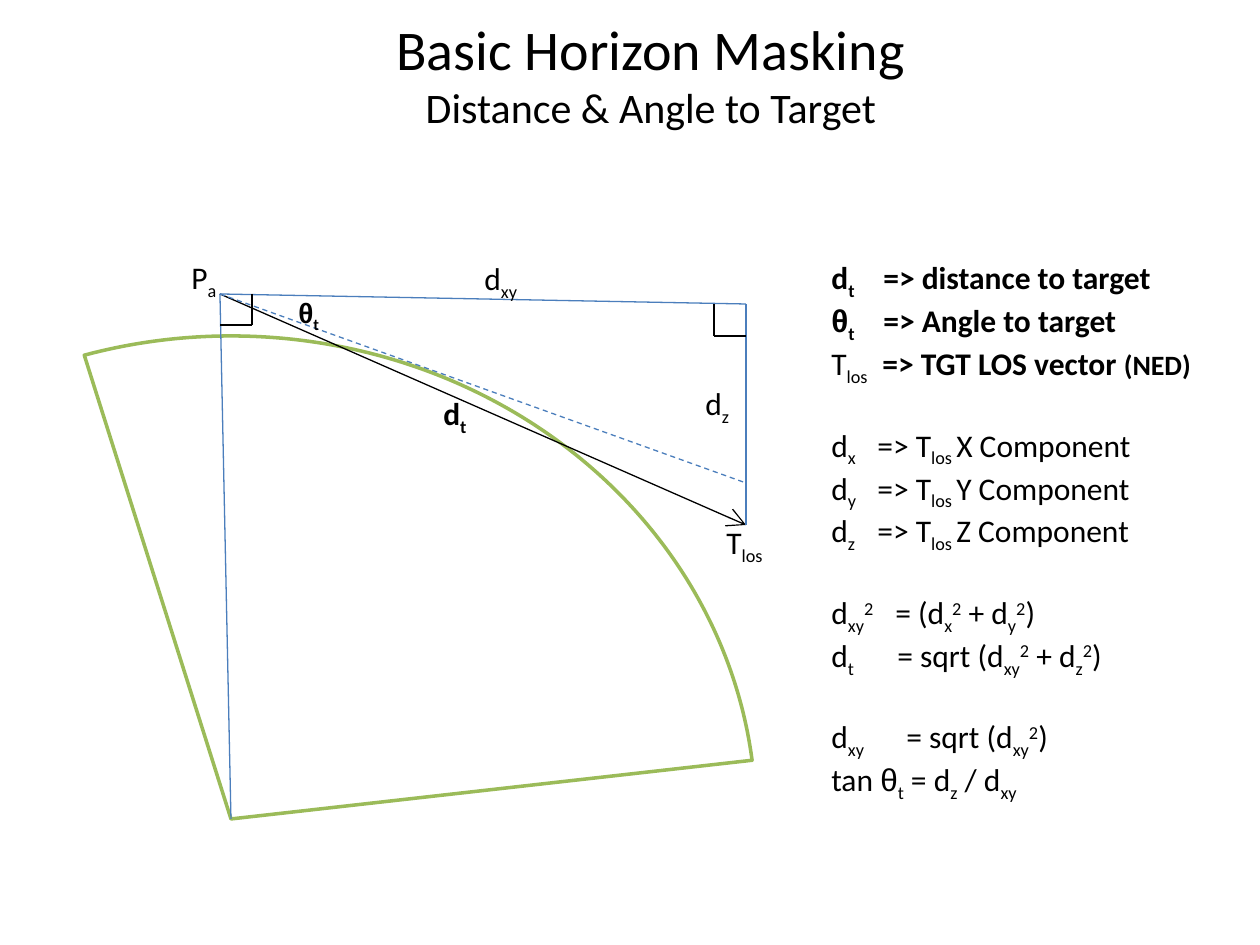
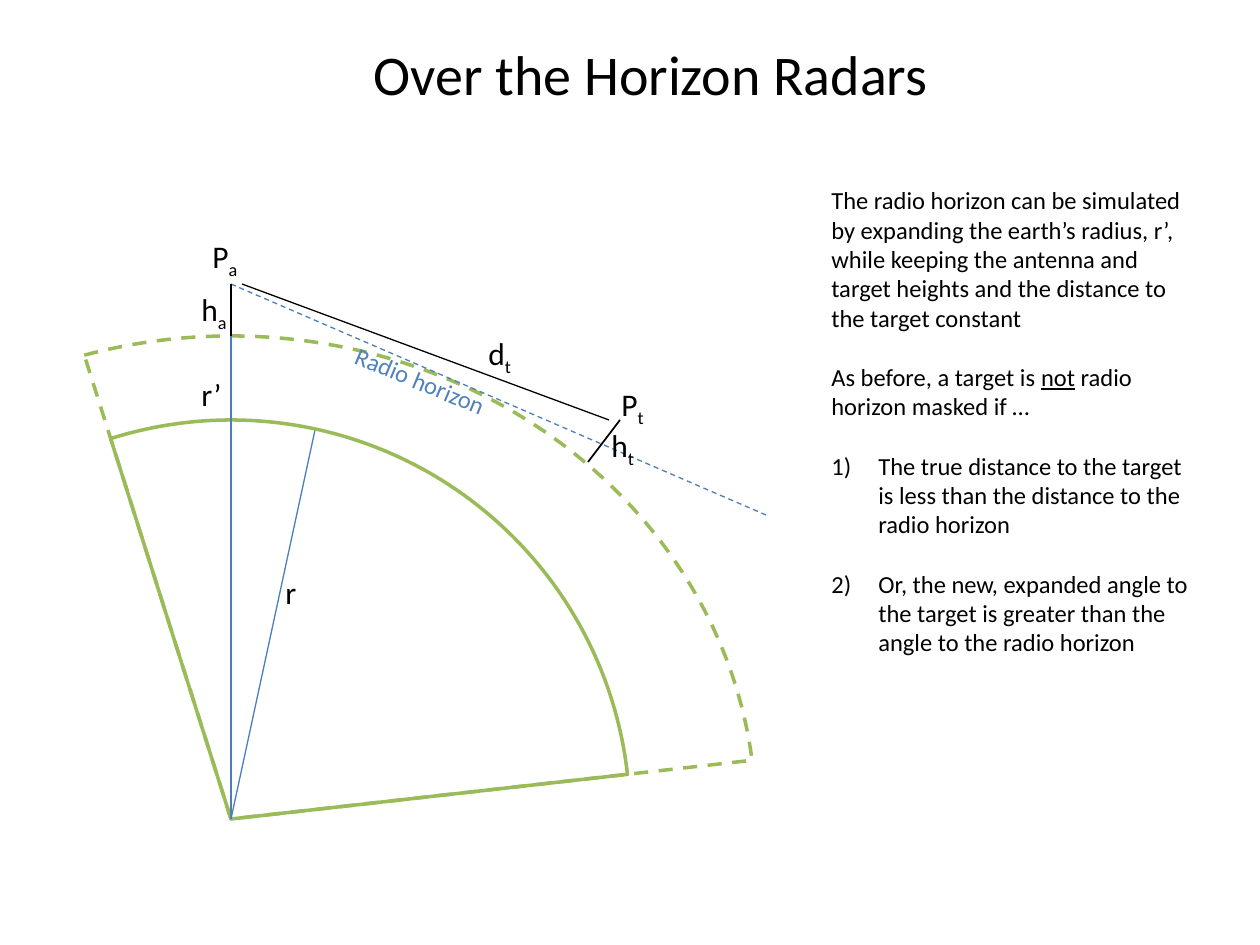
from dataclasses import dataclass
from typing import Optional

from lxml.etree import SubElement
from pptx import Presentation
from pptx.dml.color import RGBColor
from pptx.enum.dml import MSO_LINE
from pptx.enum.shapes import MSO_CONNECTOR, MSO_SHAPE
from pptx.enum.text import MSO_ANCHOR, MSO_AUTO_SIZE, PP_ALIGN
from pptx.oxml.ns import qn
from pptx.util import Emu, Pt

EMU_PER_PX = 914400 / 126
BLACK, BLUE, TEXT_BLUE, GREEN = "000000", "4B7EBC", "4F81BD", "9BBB59"
BODY_FONT, GREEK_FONT = "Calibri", "Arial"
EARTH_CENTER = (231, 819)
EARTH_ANGLES = (151.468, 212.146)
LABEL_HEIGHT = 50
LIST_INDENT = 47
BASELINES = {"_": "-25000", "^": "30000"}


@dataclass
class Run:
    text: str
    size: int = 18
    bold: bool = False
    underline: bool = False
    baseline: Optional[str] = None
    color: str = BLACK


@dataclass
class Line:
    """One paragraph, with its gap above in points and tab stop in px."""
    runs: list
    gap: int = 0
    tab: int = 0
    numbered: bool = False


def px(length):
    return Emu(round(length * EMU_PER_PX))


def rgb(value):
    return RGBColor.from_string(value)


def formula(text, **style):
    """Split at | into runs; a leading _ lowers a run and ^ raises it."""
    runs = []
    for piece in text.split("|"):
        baseline = BASELINES.get(piece[0])
        runs.append(Run(piece[1:] if baseline else piece, baseline=baseline, **style))
    return runs


def add_run(paragraph, content):
    run = paragraph.add_run()
    run.text = content.text
    font = run.font
    font.name = GREEK_FONT if content.text == "θ" else BODY_FONT
    font.size = Pt(content.size)
    font.bold = content.bold
    font.underline = content.underline
    font.color.rgb = rgb(content.color)
    if content.baseline:
        run._r.get_or_add_rPr().set("baseline", content.baseline)


def add_text_box(slide, left, top, width, height, wrap=True):
    box = slide.shapes.add_textbox(px(left), px(top), px(width), px(height))
    box.text_frame.word_wrap = wrap
    return box


def add_title(slide, title, subtitle=None):
    frame = add_text_box(slide, 84, 31, 1134, 84).text_frame
    frame.vertical_anchor = MSO_ANCHOR.MIDDLE
    paragraph = frame.paragraphs[0]
    paragraph.alignment = PP_ALIGN.CENTER
    add_run(paragraph, Run(title, 32))
    if subtitle:
        paragraph.add_line_break()
        add_run(paragraph, Run(subtitle, 24))


def add_label(slide, runs, left, top, width, height=LABEL_HEIGHT, rotation=0):
    box = add_text_box(slide, left, top, width, height, wrap=False)
    box.text_frame.auto_size = MSO_AUTO_SIZE.SHAPE_TO_FIT_TEXT
    box.rotation = rotation
    for run in runs:
        add_run(box.text_frame.paragraphs[0], run)


def add_explanation(slide, top, height, lines):
    frame = add_text_box(slide, 819, top, 388, height).text_frame
    frame.auto_size = MSO_AUTO_SIZE.SHAPE_TO_FIT_TEXT
    for index, line in enumerate(lines):
        paragraph = frame.add_paragraph() if index else frame.paragraphs[0]
        properties = paragraph._p.get_or_add_pPr()
        if line.gap:
            paragraph.space_before = Pt(line.gap)
        if line.numbered:
            properties.set("marL", str(px(LIST_INDENT)))
            properties.set("indent", str(-px(LIST_INDENT)))
            SubElement(properties, qn("a:buFont"), typeface="+mj-lt")
            SubElement(properties, qn("a:buAutoNum"), type="arabicParenR")
        if line.tab:
            tabs = SubElement(properties, qn("a:tabLst"))
            SubElement(tabs, qn("a:tab"), pos=str(px(line.tab)), algn="l")
        for run in line.runs:
            add_run(paragraph, run)


def add_line(slide, start, end, color=BLACK, width=0.75, dashed=False, arrow=False):
    connector = slide.shapes.add_connector(
        MSO_CONNECTOR.STRAIGHT, px(start[0]), px(start[1]), px(end[0]), px(end[1]))
    connector.line.color.rgb = rgb(color)
    connector.line.width = Pt(width)
    if dashed:
        connector.line.dash_style = MSO_LINE.DASH
    properties = connector._element.spPr
    if arrow:
        SubElement(properties.get_or_add_ln(), qn("a:tailEnd"),
                   type="arrow", w="lg", len="lg")
    SubElement(properties, qn("a:effectLst"))


def add_right_angle(slide, *points):
    for start, end in zip(points, points[1:]):
        add_line(slide, start, end)


def add_earth(slide, radius_x, radius_y, dashed=False):
    center_x, center_y = EARTH_CENTER
    earth = slide.shapes.add_shape(
        MSO_SHAPE.PIE, px(center_x - radius_x), px(center_y - radius_y),
        px(2 * radius_x), px(2 * radius_y))
    earth.adjustments[0], earth.adjustments[1] = EARTH_ANGLES
    earth.shadow.inherit = False
    earth.fill.background()
    earth.line.color.rgb = rgb(GREEN)
    earth.line.width = Pt(2)
    if dashed:
        earth.line.dash_style = MSO_LINE.DASH


def build_masking_slide(slide):
    antenna, target, corner = (220, 294), (746, 525), (746, 304)
    add_earth(slide, 525, 483)
    add_line(slide, EARTH_CENTER, antenna, BLUE)
    add_line(slide, antenna, target, arrow=True)
    add_line(slide, antenna, corner, BLUE)
    add_line(slide, corner, target, BLUE)
    add_line(slide, antenna, (746, 483), BLUE, dashed=True)
    add_right_angle(slide, (252, 294), (252, 325), (220, 325))
    add_right_angle(slide, (746, 336), (714, 336), (714, 304))

    add_title(slide, "Basic Horizon Masking", "Distance & Angle to Target")
    add_label(slide, formula("θ|_t", size=16, bold=True), 286, 289, 47, 47)
    add_label(slide, formula("d|_t", bold=True), 431, 388, 49)
    for text, left, top, width in (
            ("T|_los", 714, 517, 66), ("d|_xy", 472, 253, 60),
            ("d|_z", 693, 378, 52), ("P|_a", 179, 252, 52)):
        add_label(slide, formula(text), left, top, width)

    components = [
        Line(formula(f"d|_{axis.lower()}|\t=> T|_los |{axis} Component"),
             gap=22 if axis == "X" else 0, tab=46)
        for axis in "XYZ"]
    add_explanation(slide, 252, 547, [
        Line(formula("d|_t|\t=> distance to target", bold=True), tab=52),
        Line(formula("θ|_t|\t=> Angle to target", bold=True), tab=52),
        Line(formula("T|_los") + [Run("\t=> TGT LOS vector ", bold=True),
                                  Run("(NED)", 16, bold=True)], tab=51),
        *components,
        Line(formula("d|_xy|^2|\t= (d|_x|^2| + d|_y|^2|)"), gap=22, tab=64),
        Line(formula("d|_t|\t= sqrt (d|_xy|^2| + d|_z|^2|)"), tab=66),
        Line(formula("d|_xy|\t= sqrt (d|_xy|^2|)"), gap=22, tab=75),
        Line(formula("tan |θ|_t| = d|_z| / d|_xy")),
    ])


def build_radar_slide(slide):
    antenna, ground = (231, 284), (231, 336)
    add_earth(slide, 525, 483, dashed=True)
    add_line(slide, EARTH_CENTER, (315, 430), BLUE)
    add_line(slide, antenna, (766, 515), BLUE, dashed=True)
    add_earth(slide, 399, 399)
    add_line(slide, EARTH_CENTER, ground, BLUE)
    add_line(slide, (242, 284), (609, 420))
    add_line(slide, ground, antenna, width=1)
    add_line(slide, (588, 462), (620, 420), width=1)

    add_title(slide, "Over the Horizon Radars")
    add_label(slide, [Run("Radio horizon", 14, color=TEXT_BLUE)],
              339, 360, 164, 43, rotation=22.6)
    for text, left, top, width in (
            ("r", 273, 567, 37), ("r’", 189, 369, 52), ("P|_a", 200, 231, 52),
            ("P|_t", 609, 379, 49), ("h|_a", 189, 284, 53),
            ("h|_t", 599, 420, 49), ("d|_t", 476, 328, 49)):
        add_label(slide, formula(text), left, top, width)

    add_explanation(slide, 179, 577, [
        Line([Run("The radio horizon can be simulated by expanding the earth’s "
                  "radius, r’, while keeping the antenna and target heights and "
                  "the distance to the target constant", 14)]),
        Line([Run("As before, a target is ", 14), Run("not", 14, underline=True),
              Run(" radio horizon masked if …", 14)], gap=17),
        Line([Run("The true distance to the target is less than the distance to "
                  "the radio horizon", 14)], gap=17, numbered=True),
        Line([Run("Or, the new, expanded angle to the target is greater than the "
                  "angle to the radio horizon", 14)], gap=17, numbered=True),
    ])


def main():
    presentation = Presentation()
    presentation.slide_width, presentation.slide_height = px(1260), px(945)
    blank = presentation.slide_layouts[6]
    for build in (build_masking_slide, build_radar_slide):
        build(presentation.slides.add_slide(blank))
    presentation.save("out.pptx")


if __name__ == "__main__":
    main()
